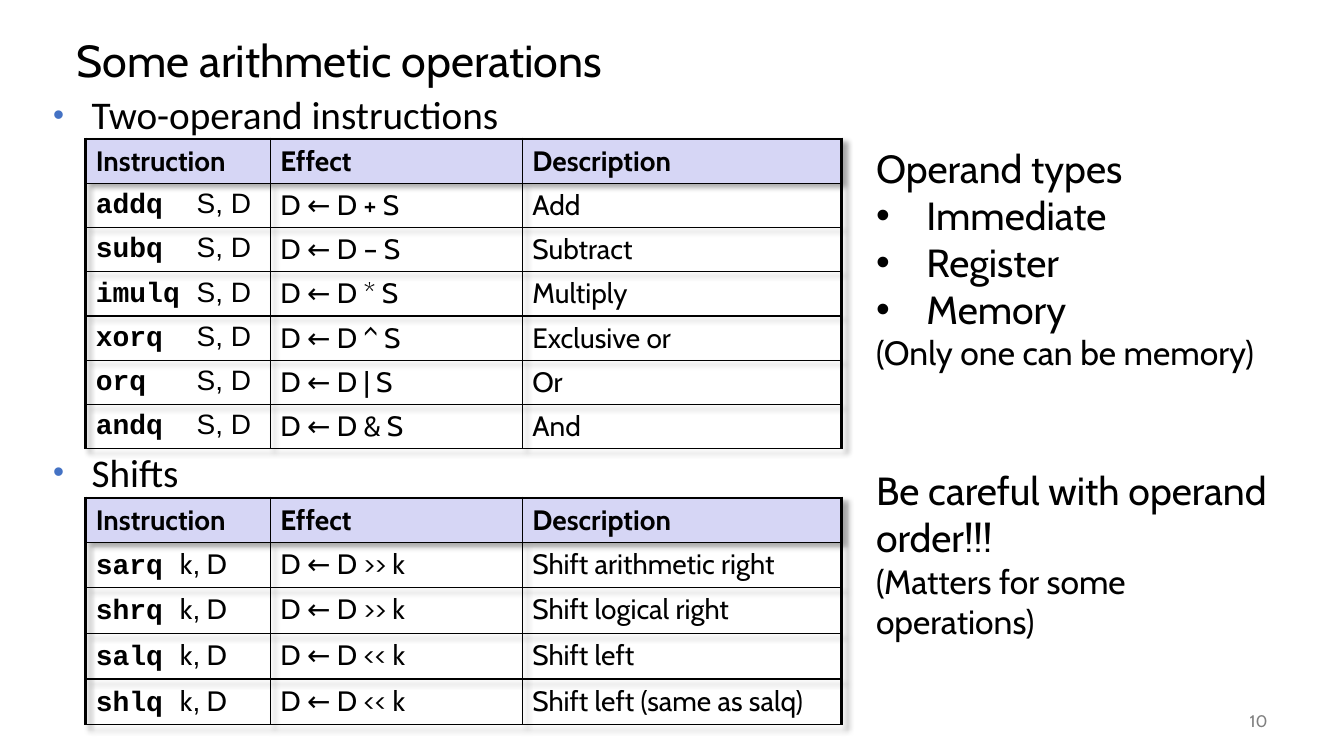
from dataclasses import dataclass, field
from typing import Any

import lxml.etree
import pptx
import pptx.dml.color
import pptx.enum.text
import pptx.oxml.ns
import pptx.util

Inches = pptx.util.Inches
Pt = pptx.util.Pt
Anchor = pptx.enum.text.MSO_ANCHOR
Align = pptx.enum.text.PP_ALIGN


@dataclass(frozen=True)
class Theme:
    ink: str = "000000"
    header_fill: str = "D6D6F5"
    bullet: str = "4472C4"
    page_number: str = "808080"
    body_font: str = "Cabin"
    heading_font: str = "Calibri"
    code_font: str = "Courier New"
    operand_font: str = "Arial"
    title_size: int = 32
    heading_size: int = 28
    note_size: int = 24
    table_size: int = 20
    number_size: int = 12
    thin_line: float = 1
    thick_line: float = 2.25
    no_style: str = "{2D5ABB26-0587-4C30-8999-92F81FD0307C}"


THEME = Theme()


@dataclass(frozen=True)
class Run:
    text: str
    size: int = THEME.heading_size
    font: str = THEME.body_font
    bold: bool = False
    color: str = THEME.ink


@dataclass(frozen=True)
class Line:
    runs: list[Run]
    indent: float = 0
    bullet_color: str = THEME.ink
    bullet_percent: int = 100
    tab: float = 0
    layout: dict[str, Any] = field(default_factory=dict)


@dataclass(frozen=True)
class Label:
    left: float
    top: float
    width: float
    height: float
    lines: list[Line]
    anchor: Any = Anchor.TOP


@dataclass(frozen=True)
class InstructionTable:
    top: float
    operands: list[Run]
    tab: float
    rows: list[tuple[str, str, str]]


COLUMN_WIDTHS = (1.83, 2.5, 3.17)
ROW_HEIGHT = 0.43
HEADERS = ("Instruction", "Effect", "Description")


def set_attributes(target: Any, values: dict[str, Any]) -> None:
    for name, value in values.items():
        setattr(target, name, value)


def add_element(parent: Any, tag: str, **attributes: Any) -> Any:
    values = {name: str(value) for name, value in attributes.items()}
    return lxml.etree.SubElement(parent, pptx.oxml.ns.qn(tag), values)


def write_line(paragraph: Any, line: Line) -> None:
    properties = paragraph._p.get_or_add_pPr()
    if line.indent:
        properties.set("marL", str(Inches(line.indent)))
        properties.set("indent", str(-Inches(line.indent)))
        color = add_element(properties, "a:buClr")
        add_element(color, "a:srgbClr", val=line.bullet_color)
        add_element(properties, "a:buSzPct", val=line.bullet_percent * 1000)
        add_element(properties, "a:buFont", typeface=THEME.operand_font)
        add_element(properties, "a:buChar", char="•")
    if line.tab:
        tabs = add_element(properties, "a:tabLst")
        add_element(tabs, "a:tab", pos=Inches(line.tab), algn="l")
    set_attributes(paragraph, line.layout)
    for item in line.runs:
        run = paragraph.add_run()
        run.text = item.text
        set_attributes(run.font, {"name": item.font, "size": Pt(item.size), "bold": item.bold})
        run.font.color.rgb = pptx.dml.color.RGBColor.from_string(item.color)


def add_label(slide: Any, label: Label) -> None:
    box = (label.left, label.top, label.width, label.height)
    shape = slide.shapes.add_textbox(*map(Inches, box))
    frame = shape.text_frame
    set_attributes(frame, {"word_wrap": True, "vertical_anchor": label.anchor})
    for index, line in enumerate(label.lines):
        paragraph = frame.add_paragraph() if index else frame.paragraphs[0]
        write_line(paragraph, line)


def add_borders(cell: Any, widths: dict[str, float]) -> None:
    properties = cell._tc.get_or_add_tcPr()
    for index, (side, width) in enumerate(widths.items()):
        border = add_element(properties, f"a:ln{side}", w=Pt(width))
        fill = add_element(border, "a:solidFill")
        add_element(fill, "a:srgbClr", val=THEME.ink)
        properties.insert(index, border)


def add_table_shadow(table: Any) -> None:
    properties = table._tbl.tblPr
    effects = add_element(properties, "a:effectLst")
    properties.insert(0, effects)
    shadow = add_element(effects, "a:outerShdw", blurRad=Pt(4), dist=Pt(4), dir=2700000)
    color = add_element(shadow, "a:srgbClr", val=THEME.ink)
    add_element(color, "a:alpha", val=35000)


def add_instruction_table(slide: Any, content: InstructionTable) -> None:
    size = THEME.table_size
    lines = [[Line([Run(header, size, bold=True)]) for header in HEADERS]]
    for mnemonic, effect, description in content.rows:
        code = Run(mnemonic + ("\t" if content.tab else " "), size, THEME.code_font, True)
        instruction = Line([code, *content.operands], tab=content.tab)
        lines.append([instruction, Line([Run(effect, size)]), Line([Run(description, size)])])
    box = (0.85, content.top, sum(COLUMN_WIDTHS), ROW_HEIGHT * len(lines))
    table = slide.shapes.add_table(len(lines), len(HEADERS), *map(Inches, box)).table
    set_attributes(table, {"first_row": False, "horz_banding": False})
    table._tbl.tblPr.find(pptx.oxml.ns.qn("a:tableStyleId")).text = THEME.no_style
    add_table_shadow(table)
    for column, width in zip(table.columns, COLUMN_WIDTHS):
        column.width = Inches(width)
    thin, thick = THEME.thin_line, THEME.thick_line
    last_column = len(HEADERS) - 1
    for row_index, row in enumerate(lines):
        table.rows[row_index].height = Inches(ROW_HEIGHT)
        for column_index, line in enumerate(row):
            cell = table.cell(row_index, column_index)
            write_line(cell.text_frame.paragraphs[0], line)
            if row_index:
                cell.fill.background()
            else:
                cell.fill.solid()
                cell.fill.fore_color.rgb = pptx.dml.color.RGBColor.from_string(THEME.header_fill)
            add_borders(cell, {
                "L": thin if column_index else thick,
                "R": thick if column_index == last_column else thin,
                "T": thin if row_index else thick,
                "B": thin,
            })


def section_heading(top: float, text: str) -> Label:
    run = Run(text, font=THEME.heading_font)
    return Label(0.43, top, 8.67, 0.55, [Line([run], 0.38, THEME.bullet, 80)])


LABELS = [
    Label(0.66, 0.25, 12, 0.75,
          [Line([Run("Some arithmetic operations", THEME.title_size)], layout={"line_spacing": 0.9})],
          Anchor.MIDDLE),
    section_heading(0.85, "Two-operand instructions"),
    section_heading(4.4, "Shifts"),
    Label(8.59, 1.38, 4.18, 2.36, [
        Line([Run("Operand types")]),
        *(Line([Run(kind)], 0.5) for kind in ("Immediate", "Register", "Memory")),
        Line([Run("(Only one can be memory)", THEME.note_size)]),
    ]),
    Label(8.59, 4.58, 4.18, 1.83, [
        Line([Run("Be careful with operand order!!!")]),
        Line([Run("(Matters for some operations)", THEME.note_size)]),
    ]),
    Label(11.67, 6.95, 1, 0.4,
          [Line([Run("10", THEME.number_size, color=THEME.page_number)],
                layout={"alignment": Align.RIGHT})],
          Anchor.MIDDLE),
]

TABLES = [
    InstructionTable(1.38, [Run("S, D", THEME.table_size, THEME.operand_font)], 1, [
        ("addq", "D ← D + S", "Add"),
        ("subq", "D ← D – S", "Subtract"),
        ("imulq", "D ← D * S", "Multiply"),
        ("xorq", "D ← D ^ S", "Exclusive or"),
        ("orq", "D ← D | S", "Or"),
        ("andq", "D ← D & S", "And"),
    ]),
    InstructionTable(4.94, [
        Run("k", THEME.table_size),
        Run(",", THEME.table_size, THEME.operand_font),
        Run(" D", THEME.table_size),
    ], 0, [
        ("sarq", "D ← D >> k", "Shift arithmetic right"),
        ("shrq", "D ← D >> k", "Shift logical right"),
        ("salq", "D ← D << k", "Shift left"),
        ("shlq", "D ← D << k", "Shift left (same as salq)"),
    ]),
]


def main() -> None:
    presentation = pptx.Presentation()
    set_attributes(presentation, {"slide_width": Inches(13.33), "slide_height": Inches(7.5)})
    slide = presentation.slides.add_slide(presentation.slide_layouts[6])
    for table in TABLES:
        add_instruction_table(slide, table)
    for label in LABELS:
        add_label(slide, label)
    presentation.save("out.pptx")


if __name__ == "__main__":
    main()
